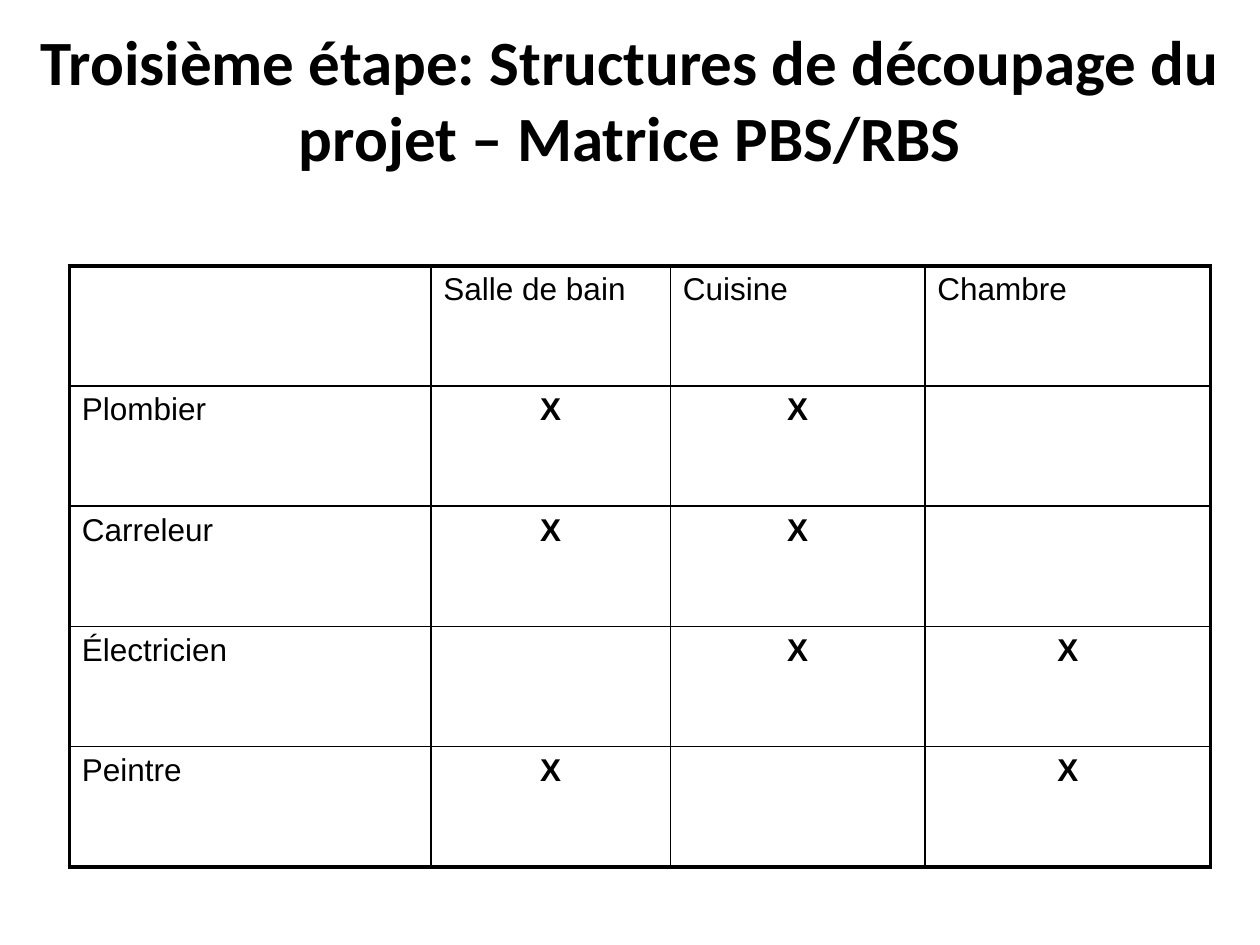
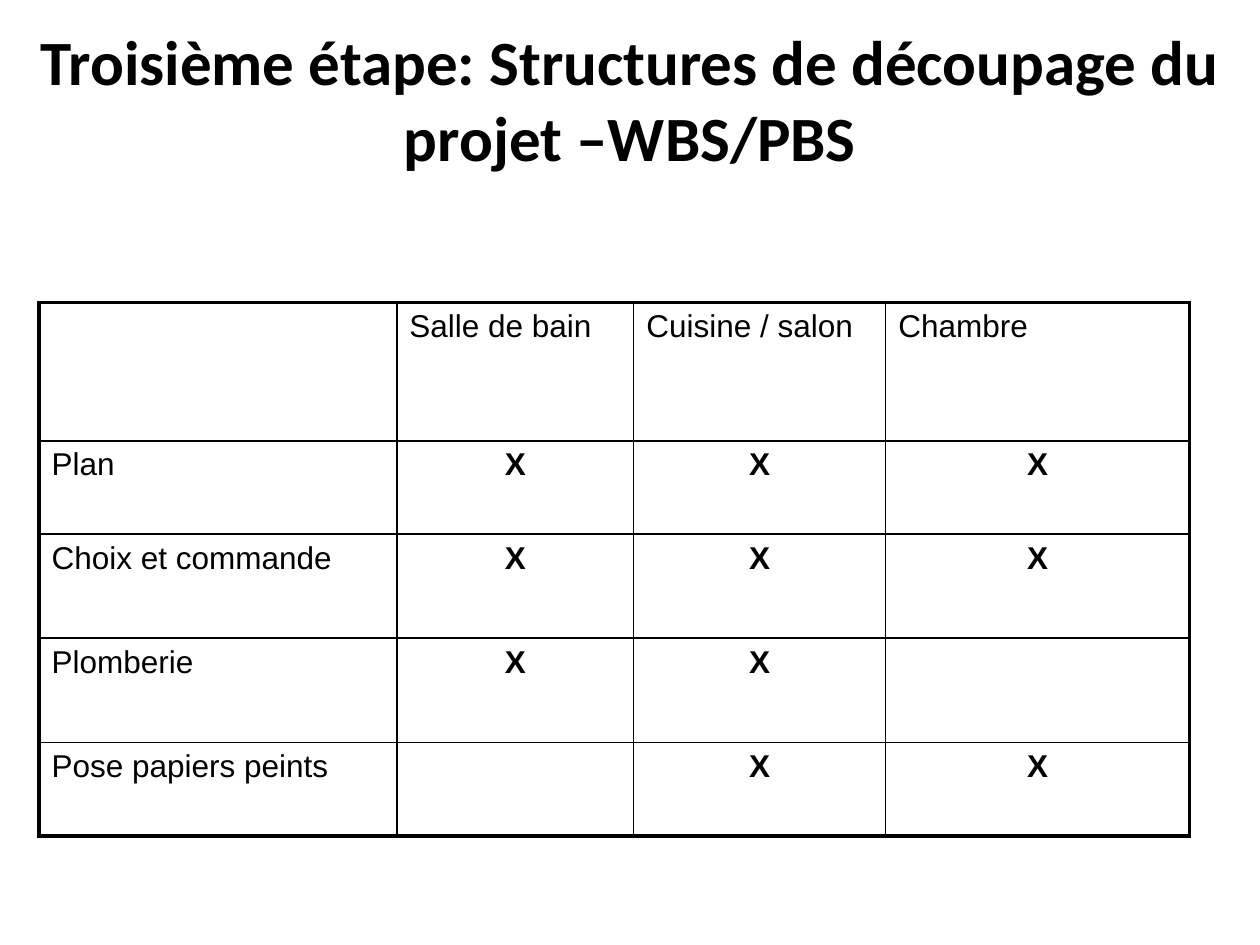
from dataclasses import dataclass

from lxml.etree import SubElement as Sub
from pptx import Presentation
from pptx.dml.color import RGBColor as Rgb
from pptx.enum.text import MSO_ANCHOR as Anchor, MSO_AUTO_SIZE as Fit, PP_ALIGN as Align
from pptx.oxml.ns import qn
from pptx.util import Inches, Pt


@dataclass(frozen=True)
class Theme:
    ink: str = "000000"
    paper: str = "FFFFFF"
    head: str = "Calibri"
    body: str = "Arial"
    big: float = 36
    small: float = 18
    thick: float = 2.25
    thin: float = 1


COLS, ROWS = 100, 75


def write(frame, text, font, size, color, bold=False, align=Align.LEFT):
    par = frame.paragraphs[0]
    par.alignment = align
    run = par.add_run()
    run.text = text
    run.font.name = font
    run.font.size = Pt(size)
    run.font.bold = bold
    run.font.color.rgb = Rgb.from_string(color)


class Deck:
    def __init__(self, theme):
        self.theme = theme
        self.show = Presentation()
        self.show.slide_width = Inches(10)
        self.show.slide_height = Inches(7.5)
        self.slide = None

    def across(self, cols):
        return round(self.show.slide_width * cols / COLS)

    def down(self, rows):
        return round(self.show.slide_height * rows / ROWS)

    def start(self):
        self.slide = self.show.slides.add_slide(self.show.slide_layouts[5])
        fill = self.slide.background.fill
        fill.solid()
        fill.fore_color.rgb = Rgb.from_string(self.theme.paper)

    def title(self, text):
        look = self.theme
        box = self.slide.shapes.title
        box.left, box.top = 0, self.down(3.9)
        box.width, box.height = self.across(COLS), self.down(7.8)
        frame = box.text_frame
        frame.word_wrap = True
        frame.auto_size = Fit.NONE
        frame.vertical_anchor = Anchor.MIDDLE
        write(frame, text, look.head, look.big, look.ink, bold=True, align=Align.CENTER)

    def edge(self, cell, side, width):
        line = Sub(cell._tc.get_or_add_tcPr(), qn(f"a:ln{side}"), w=str(Pt(width)))
        fill = Sub(line, qn("a:solidFill"))
        Sub(fill, qn("a:srgbClr"), val=self.theme.ink)

    def cell(self, cell, text, outer):
        look = self.theme
        for side, rim in outer.items():
            self.edge(cell, side, look.thick if rim else look.thin)
        cell.fill.solid()
        cell.fill.fore_color.rgb = Rgb.from_string(look.paper)
        mark = text == "X"
        if text:
            write(cell.text_frame, text, look.body, look.small, look.ink,
                  bold=mark, align=Align.CENTER if mark else Align.LEFT)

    def matrix(self, left, top, wide, high, rooms, marks):
        data = [["", *rooms]]
        data += [[name, *(sign.strip() for sign in signs)] for name, signs in marks.items()]
        grid = self.slide.shapes.add_table(
            len(high), len(wide), self.across(left), self.down(top),
            self.across(sum(wide)), self.down(sum(high))).table
        grid.first_row = grid.horz_banding = False
        for col, size in zip(grid.columns, wide):
            col.width = self.across(size)
        for row, size in zip(grid.rows, high):
            row.height = self.down(size)
        for r, line in enumerate(data):
            for c, text in enumerate(line):
                outer = {"L": c == 0, "R": c == len(wide) - 1,
                         "T": r == 0, "B": r == len(high) - 1}
                self.cell(grid.cell(r, c), text, outer)


def main():
    deck = Deck(Theme())
    stem = "Troisième étape: Structures de découpage du projet –"

    deck.start()
    deck.title(stem + " Matrice PBS/RBS")
    deck.matrix(5.5, 21.1, [28.7, 19, 20.2, 22.7], [9.54] * 5,
                ["Salle de bain", "Cuisine", "Chambre"],
                {"Plombier": "XX ", "Carreleur": "XX ",
                 "Électricien": " XX", "Peintre": "X X"})

    deck.start()
    deck.title(stem + "WBS/PBS")
    deck.matrix(3.1, 24, [28.4, 18.8, 20, 24.1], [11, 7.4, 8.25, 8.3, 7.4],
                ["Salle de bain", "Cuisine / salon", "Chambre"],
                {"Plan": "XXX", "Choix et commande": "XXX",
                 "Plomberie": "XX ", "Pose papiers peints": " XX"})

    deck.show.save("out.pptx")


if __name__ == "__main__":
    main()
